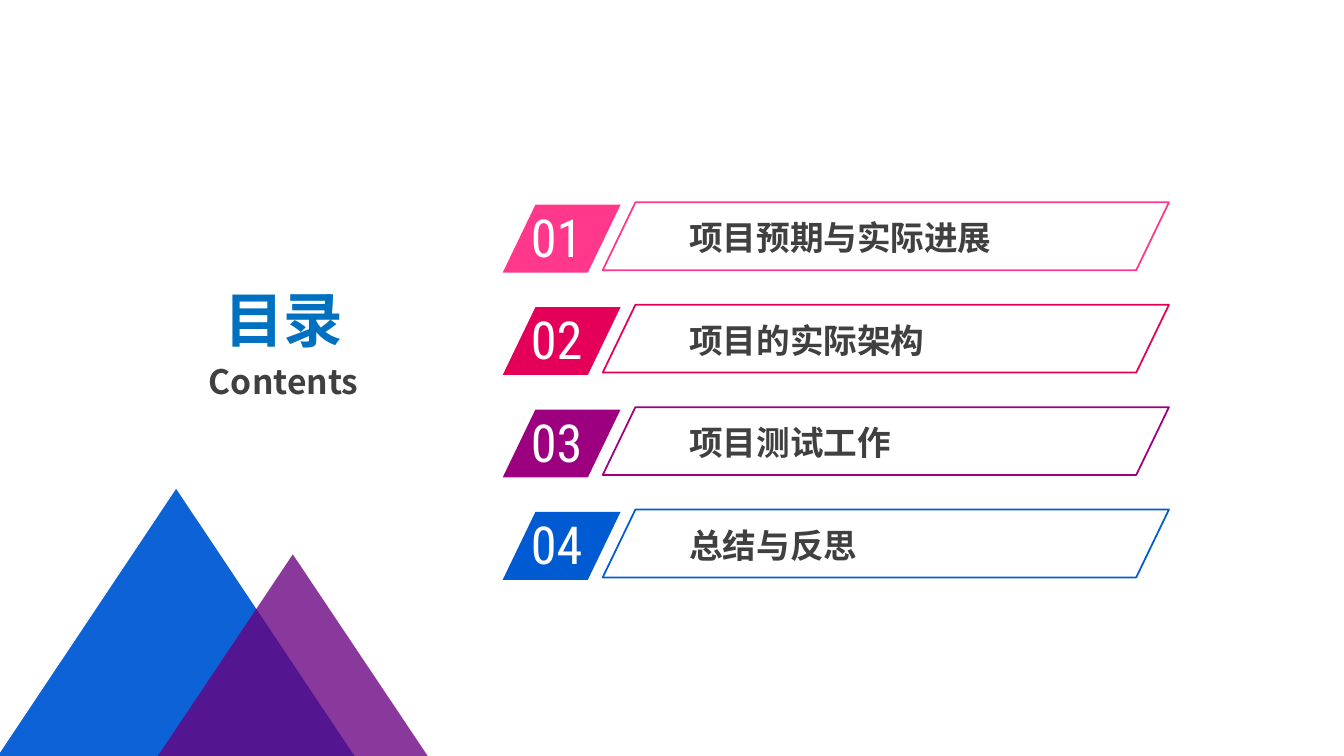
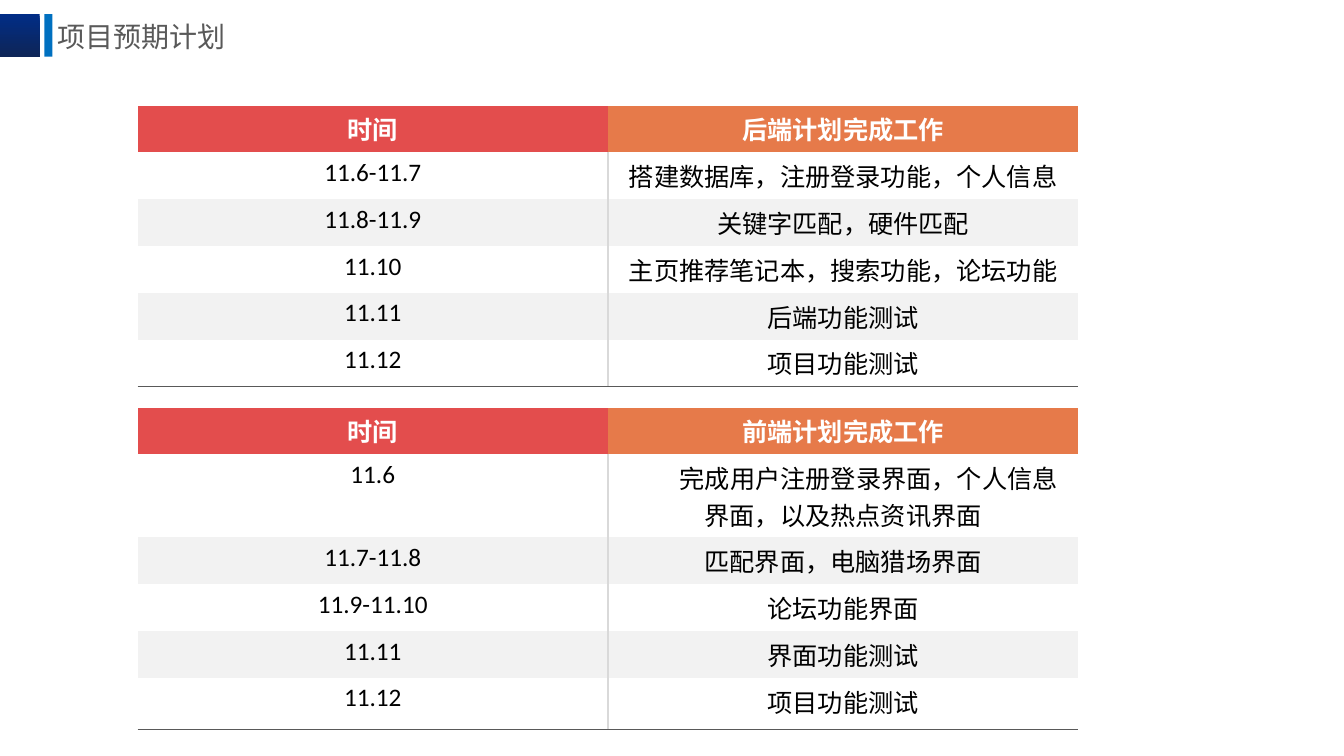
"""Builds the contents slide and the project schedule slide."""
from lxml import etree
from pptx import Presentation
from pptx.dml.color import RGBColor
from pptx.enum.shapes import MSO_SHAPE
from pptx.enum.text import MSO_ANCHOR, PP_ALIGN
from pptx.oxml.ns import qn
from pptx.util import Cm, Pt

RECTANGLE = MSO_SHAPE.RECTANGLE
PARALLELOGRAM = MSO_SHAPE.PARALLELOGRAM
TRIANGLE = MSO_SHAPE.ISOSCELES_TRIANGLE
TOP, MIDDLE = MSO_ANCHOR.TOP, MSO_ANCHOR.MIDDLE
LEFT, CENTER = PP_ALIGN.LEFT, PP_ALIGN.CENTER

HAN_FONT = "Noto Sans CJK SC"
NUMBER_FONT = "Roboto Condensed"
TABLE_FONT = "Calibri"
NO_TABLE_STYLE = "{2D5ABB26-0587-4C30-8999-92F81FD0307C}"

WHITE = RGBColor(0xFF, 0xFF, 0xFF)
BLACK = RGBColor(0x00, 0x00, 0x00)
DARK_GRAY = RGBColor(0x40, 0x40, 0x40)
GRAY = RGBColor(0x59, 0x59, 0x59)
RULE_GRAY = RGBColor(0xD9, 0xD9, 0xD9)
BAND_GRAY = RGBColor(0xF2, 0xF2, 0xF2)
SKY_BLUE = RGBColor(0x00, 0x70, 0xC0)
BLUE = RGBColor(0x00, 0x5B, 0xD3)
NAVY = RGBColor(0x01, 0x2D, 0x86)
DEEP_NAVY = RGBColor(0x0E, 0x25, 0x57)
PINK = RGBColor(0xFF, 0x38, 0x8C)
CRIMSON = RGBColor(0xE4, 0x00, 0x59)
MAGENTA = RGBColor(0x9C, 0x00, 0x7F)
PURPLE = RGBColor(0x68, 0x00, 0x7F)
RED = RGBColor(0xE3, 0x4D, 0x4D)
ORANGE = RGBColor(0xE6, 0x7A, 0x4A)

CHAPTERS = [
    ("项目预期与实际进展", PINK),
    ("项目的实际架构", CRIMSON),
    ("项目测试工作", MAGENTA),
    ("总结与反思", BLUE),
]
CHAPTER_TOP, CHAPTER_PITCH, CHAPTER_HEIGHT = 5.1, 2.58, 1.71

BACKEND_PLAN = [
    ("时间", "后端计划完成工作"),
    ("11.6-11.7", "搭建数据库，注册登录功能，个人信息"),
    ("11.8-11.9", "关键字匹配，硬件匹配"),
    ("11.10", "主页推荐笔记本，搜索功能，论坛功能"),
    ("11.11", "后端功能测试"),
    ("11.12", "项目功能测试"),
]
FRONTEND_PLAN = [
    ("时间", "前端计划完成工作"),
    ("11.6", "完成用户注册登录界面，个人信息界面，以及热点资讯界面"),
    ("11.7-11.8", "匹配界面，电脑猎场界面"),
    ("11.9-11.10", "论坛功能界面"),
    ("11.11", "界面功能测试"),
    ("11.12", "项目功能测试"),
]


def write_text(paragraph, text, *, size, color, font=HAN_FONT, bold=False,
               align=LEFT, before=0, indent=0):
    """Put formatted text into a paragraph."""
    paragraph.alignment = align
    if before:
        paragraph.space_before = Pt(before)
    if indent:
        paragraph._p.get_or_add_pPr().set("indent", str(Cm(indent)))
    run = paragraph.add_run()
    run.text = text
    run.font.size = Pt(size)
    run.font.bold = bold
    run.font.color.rgb = color
    run.font.name = font
    east_asian = etree.SubElement(run._r.get_or_add_rPr(), qn("a:ea"))
    east_asian.set("typeface", HAN_FONT)


def add_text_frame(slide, left, top, width, height, anchor=TOP):
    """Add a wrapping text box and return its frame."""
    box = slide.shapes.add_textbox(Cm(left), Cm(top), Cm(width), Cm(height))
    frame = box.text_frame
    frame.word_wrap = True
    frame.vertical_anchor = anchor
    return frame


def add_block(slide, preset, left, top, width, height, *, fill=None,
              line=None, opacity=100, slant=None):
    """Add a flat preset shape, filled or outlined."""
    block = slide.shapes.add_shape(preset, Cm(left), Cm(top), Cm(width), Cm(height))
    block.shadow.inherit = False
    if slant is not None:
        block.adjustments[0] = slant
    if fill is None:
        block.fill.background()
    else:
        block.fill.solid()
        block.fill.fore_color.rgb = fill
    if opacity < 100:
        color = block._element.spPr.find(".//" + qn("a:srgbClr"))
        etree.SubElement(color, qn("a:alpha")).set("val", str(opacity * 1000))
    if line is None:
        block.line.fill.background()
    else:
        block.line.color.rgb = line
        block.line.width = Pt(1.25)
    return block


def add_chapter(slide, index, title, color):
    """Add one numbered row of the contents list."""
    top = CHAPTER_TOP + index * CHAPTER_PITCH
    add_block(slide, PARALLELOGRAM, 12.67, top + 0.06, 2.97, CHAPTER_HEIGHT,
              fill=color, slant=0.482)
    add_block(slide, PARALLELOGRAM, 15.19, top, 14.27, CHAPTER_HEIGHT,
              line=color, slant=0.482)
    number = add_text_frame(slide, 13.13, top - 0.06, 2.84, 1.85)
    write_text(number.paragraphs[0], f"{index + 1:02d}", size=37.4, color=WHITE,
               font=NUMBER_FONT)
    label = add_text_frame(slide, 17.12, top + 0.25, 10.46, 1.27)
    write_text(label.paragraphs[0], title, size=24, color=DARK_GRAY, bold=True)


def add_title_band(slide, title):
    """Add the slide title with its two bars."""
    bar = add_block(slide, RECTANGLE, 0, 0.36, 1, 1.07, fill=NAVY)
    bar.fill.gradient()
    bar.fill.gradient_angle = 270
    for stop, color, position in zip(bar.fill.gradient_stops, (NAVY, DEEP_NAVY), (0, 1)):
        stop.color.rgb = color
        stop.position = position
    add_block(slide, RECTANGLE, 1.12, 0.36, 0.2, 1.07, fill=SKY_BLUE)
    frame = add_text_frame(slide, 1.19, 0.15, 8.28, 1.55, MIDDLE)
    write_text(frame.paragraphs[0], title, size=20, color=GRAY)


def add_border(cell, side, color, width):
    """Draw one border of a table cell."""
    border = etree.SubElement(cell._tc.get_or_add_tcPr(), qn(f"a:ln{side}"))
    border.set("w", str(Pt(width)))
    fill = etree.SubElement(border, qn("a:solidFill"))
    etree.SubElement(fill, qn("a:srgbClr")).set("val", str(color))


def add_plan(slide, top, plan, row_heights, indents):
    """Add a two-column schedule; indents maps a row to its task indent."""
    frame = slide.shapes.add_table(len(plan), 2, Cm(3.47), Cm(top), Cm(23.7),
                                   Cm(sum(row_heights)))
    table = frame.table
    table._tbl.tblPr.find(qn("a:tableStyleId")).text = NO_TABLE_STYLE
    for row, height in zip(table.rows, row_heights):
        row.height = Cm(height)
    for r, entries in enumerate(plan):
        header = r == 0
        for c, text in enumerate(entries):
            cell = table.cell(r, c)
            if not header:
                add_border(cell, "RL"[c], RULE_GRAY, 1)
            if r == len(plan) - 1:
                add_border(cell, "B", GRAY, 1.5)
            cell.fill.solid()
            cell.fill.fore_color.rgb = (
                (RED, ORANGE)[c] if header else (BAND_GRAY, WHITE)[r % 2])
            write_text(cell.text_frame.paragraphs[0], text, size=18,
                       color=WHITE if header else BLACK, font=TABLE_FONT,
                       bold=header, align=CENTER,
                       indent=indents.get(r, 0) if c else 0)


def build_contents(slide):
    """Fill the contents slide."""
    heading = add_text_frame(slide, 2.97, 7.7, 8.36, 1.83, MIDDLE)
    write_text(heading.paragraphs[0], "目录", size=42.6, color=SKY_BLUE,
               bold=True, align=CENTER)
    write_text(heading.add_paragraph(), "Contents", size=24, color=DARK_GRAY,
               bold=True, align=CENTER, before=5)
    for index, (title, color) in enumerate(CHAPTERS):
        add_chapter(slide, index, title, color)
    add_block(slide, TRIANGLE, -0.36, 12.32, 9.6, 7.19, fill=BLUE, opacity=95)
    add_block(slide, TRIANGLE, 3.76, 13.97, 7.24, 5.41, fill=PURPLE, opacity=78)


def build_schedule(slide):
    """Fill the schedule slide."""
    add_title_band(slide, "项目预期计划")
    add_plan(slide, 10.27, FRONTEND_PLAN, [1.18, 2.09, 1.18, 1.18, 1.18, 1.3], {1: 1.29})
    add_plan(slide, 2.66, BACKEND_PLAN, [1.18] * 6, {})


def main():
    """Build and save the presentation."""
    deck = Presentation()
    deck.slide_width, deck.slide_height = Cm(33.87), Cm(19.05)
    for build in (build_contents, build_schedule):
        build(deck.slides.add_slide(deck.slide_layouts[6]))
    deck.save("out.pptx")


if __name__ == "__main__":
    main()
